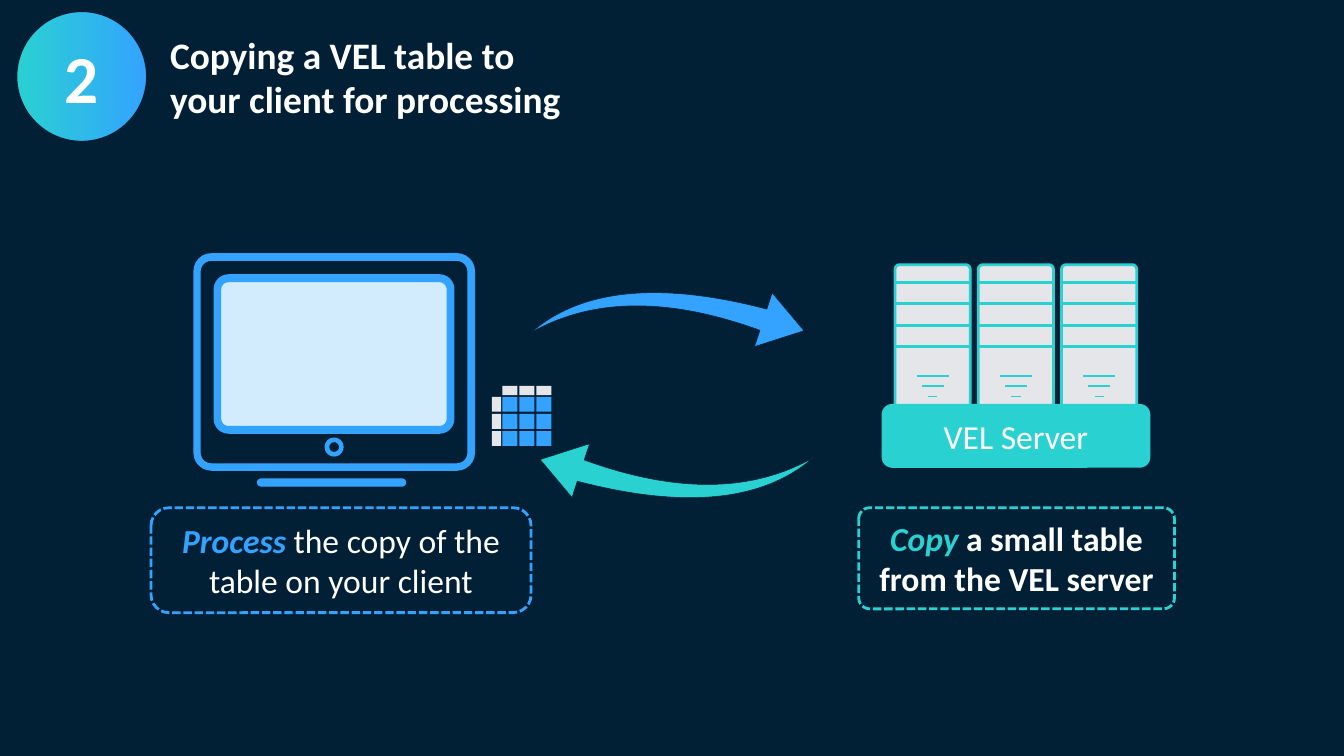
import math
from lxml import etree
from pptx import Presentation, util as u
from pptx.dml.color import RGBColor
from pptx.enum import dml, shapes, text
from pptx.oxml.ns import qn

Pt = u.Pt
KIND = shapes.MSO_SHAPE
NAVY = RGBColor(0x01, 0x20, 0x36)
BLUE = RGBColor(0x33, 0xA3, 0xFF)
TEAL = RGBColor(0x2A, 0xD1, 0xD1)
PALE_BLUE = RGBColor(0xD2, 0xEC, 0xFE)
GREY = RGBColor(0xE4, 0xE6, 0xEA)
WHITE = RGBColor(0xFF, 0xFF, 0xFF)


def add_block(parent, kind, box, fill=None, line=None, width=1.5, adjust=()):
    """Add a preset shape; box is left, top, width, height in points."""
    block = parent.add_shape(kind, *map(Pt, box))
    block.shadow.inherit = False
    for part, color in ((block.fill, fill), (block.line.fill, line)):
        if color is None:
            part.background()
        else:
            part.solid()
            part.fore_color.rgb = color
    if line is not None:
        block.line.width = Pt(width)
    for i, value in enumerate(adjust):
        block.adjustments[i] = value
    return block


def write(block, runs, frame_format, align=text.PP_ALIGN.CENTER):
    """Fill a shape with one paragraph of (wording, font values) runs."""
    for key, value in {"word_wrap": True, **frame_format}.items():
        setattr(block.text_frame, key, value)
    paragraph = block.text_frame.paragraphs[0]
    paragraph.alignment = align
    for wording, font_format in runs:
        run = paragraph.add_run()
        run.text = wording
        font_format = {"name": "Calibri", "size": Pt(18), **font_format}
        run.font.color.rgb = font_format.pop("color", WHITE)
        for key, value in font_format.items():
            setattr(run.font, key, value)


deck = Presentation()
deck.slide_width, deck.slide_height = Pt(720), Pt(405)
slide = deck.slides.add_slide(deck.slide_layouts[6])
slide.background.fill.solid()
slide.background.fill.fore_color.rgb = NAVY
canvas = slide.shapes

middle = {"vertical_anchor": text.MSO_ANCHOR.MIDDLE}
grow = {"vertical_anchor": text.MSO_ANCHOR.TOP,
        "auto_size": text.MSO_AUTO_SIZE.SHAPE_TO_FIT_TEXT}

# Client screen
add_block(canvas, KIND.ROUNDED_RECTANGLE, (116, 148.5, 124.5, 83), PALE_BLUE,
          adjust=[0.07])

# Dashed captions
captions = [
    ((460, 272, 169.2, 54.2), 0.11, TEAL, "Copy",
     " a small table from the VEL server", True),
    ((80.9, 272, 203.6, 56.2), 0.17, BLUE, "Process",
     " the copy of the table on your client", False),
]
for box, corner, color, verb, rest, rest_bold in captions:
    caption = add_block(canvas, KIND.ROUNDED_RECTANGLE, box, line=color,
                        adjust=[corner])
    caption.line.dash_style = dml.MSO_LINE.SQUARE_DOT
    write(caption, [(verb, {"color": color, "bold": True, "italic": True}),
                    (rest, {"bold": rest_bold, "italic": False})], grow)

# Server: three towers on a base
server = canvas.add_group_shape().shapes
tower_top = 141.8
for tower in range(3):
    left = 479.5 + 44.6 * tower
    add_block(server, KIND.ROUNDED_RECTANGLE, (left, tower_top, 40.3, 80.6),
              GREY, TEAL, adjust=[0.06])
    shelves = [(start, end, 9.5 + 11.5 * row, 1.5)
               for start, end in ((0, 40.3), (26, 36.8)) for row in range(4)]
    vents = [(20.2 - half, 20.2 + half, 59.6 + 5.5 * row, 0.75)
             for row, half in enumerate((8.6, 5.8, 2.5))]
    for start, end, drop, width in shelves + vents:
        y = tower_top + drop
        slat = server.add_connector(
            shapes.MSO_CONNECTOR.STRAIGHT,
            Pt(left + start), Pt(y), Pt(left + end), Pt(y))
        slat.line.color.rgb = TEAL
        slat.line.width = Pt(width)
        etree.SubElement(slat._element.spPr, qn("a:effectLst"))
base = add_block(server, KIND.ROUNDED_RECTANGLE, (472.3, 216.4, 144, 34.2), TEAL)
write(base, [("VEL Server", {})], middle)

# Monitor outline: left, top, right, bottom, corner radius of each contour
monitor_contours = [
    (137.7, 256.3, 217.6, 260.7, 2.2),    # foot
    (176.4, 236.9, 181.6, 242.1, 2.6),    # button, inner
    (173.9, 234.4, 184.1, 244.6, 5.1),    # button, outer
    (118.5, 151.2, 239.3, 228.2, 3.9),    # screen frame, inner
    (114.4, 146.9, 243.5, 232.4, 8.1),    # screen frame, outer
    (107.5, 139.8, 250.4, 248.2, 5.6),    # case, inner
    (103.6, 135.6, 254.5, 252.2, 9.7),    # case, outer
]
monitor = None
for left, top, right, bottom, radius in monitor_contours:
    corners = [(right - radius, top + radius), (right - radius, bottom - radius),
               (left + radius, bottom - radius), (left + radius, top + radius)]
    outline = []
    for quarter, (cx, cy) in enumerate(corners):
        for step in range(7):
            angle = math.radians(90 * quarter - 90 + 15 * step)
            outline.append((Pt(cx + radius * math.cos(angle)),
                            Pt(cy + radius * math.sin(angle))))
    if monitor is None:
        monitor = canvas.build_freeform(*outline[0], scale=1.0)
    else:
        monitor.move_to(*outline[0])
    monitor.add_line_segments(outline[1:], close=True)
client = monitor.convert_to_shape()
client.shadow.inherit = False
client.fill.solid()
client.fill.fore_color.rgb = BLUE
client.line.fill.background()

# Arrows to and from the server
for top, turn, color in ((214.6, 204.5, TEAL), (136.1, 24.5, BLUE)):
    arrow = add_block(canvas, KIND.SWOOSH_ARROW, (293.8, top, 132.5, 72.7),
                      color, NAVY, 0.25, [0.163, 0.314])
    arrow.rotation = turn

# Small table: grey header row and column, blue cells
small_table = canvas.add_group_shape().shapes
columns = [(263.5, 5)] + [(269.2 + 9.1 * i, 8) for i in range(3)]
rows = [(206.8, 5)] + [(212.6 + 9.2 * i, 8) for i in range(3)]
for c, (left, width) in enumerate(columns):
    for r, (top, height) in enumerate(rows):
        if c or r:
            add_block(small_table, KIND.RECTANGLE, (left, top, width, height),
                      BLUE if c and r else GREY)

# Step number
step_badge = add_block(canvas, KIND.OVAL, (7.8, 5, 72, 72), NAVY, NAVY, 3)
step_badge.fill.gradient()
step_badge.fill.gradient_angle = 180
for stop, color in zip(step_badge.fill.gradient_stops, (BLUE, TEAL)):
    stop.color.rgb = color
insets = {"margin_left": Pt(3.6), "margin_right": Pt(3.6),
          "margin_top": Pt(1.8), "margin_bottom": Pt(1.8)}
write(step_badge, [("2", {"size": Pt(36), "bold": True})], {**middle, **insets})

# Title
title = canvas.add_textbox(Pt(84), Pt(13.5), Pt(228), Pt(55.7))
write(title, [("Copying a VEL table to your client for processing",
               {"size": Pt(20), "bold": True})], grow, text.PP_ALIGN.LEFT)

deck.save("out.pptx")
